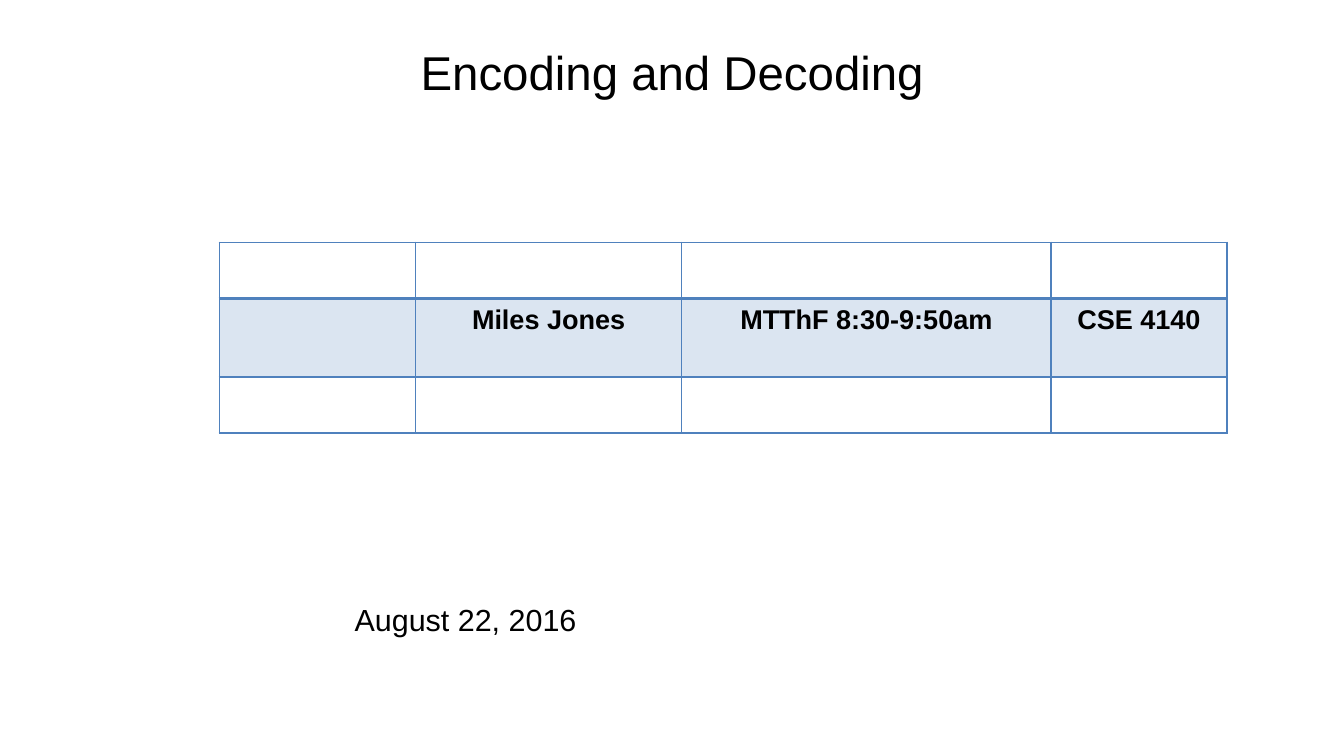
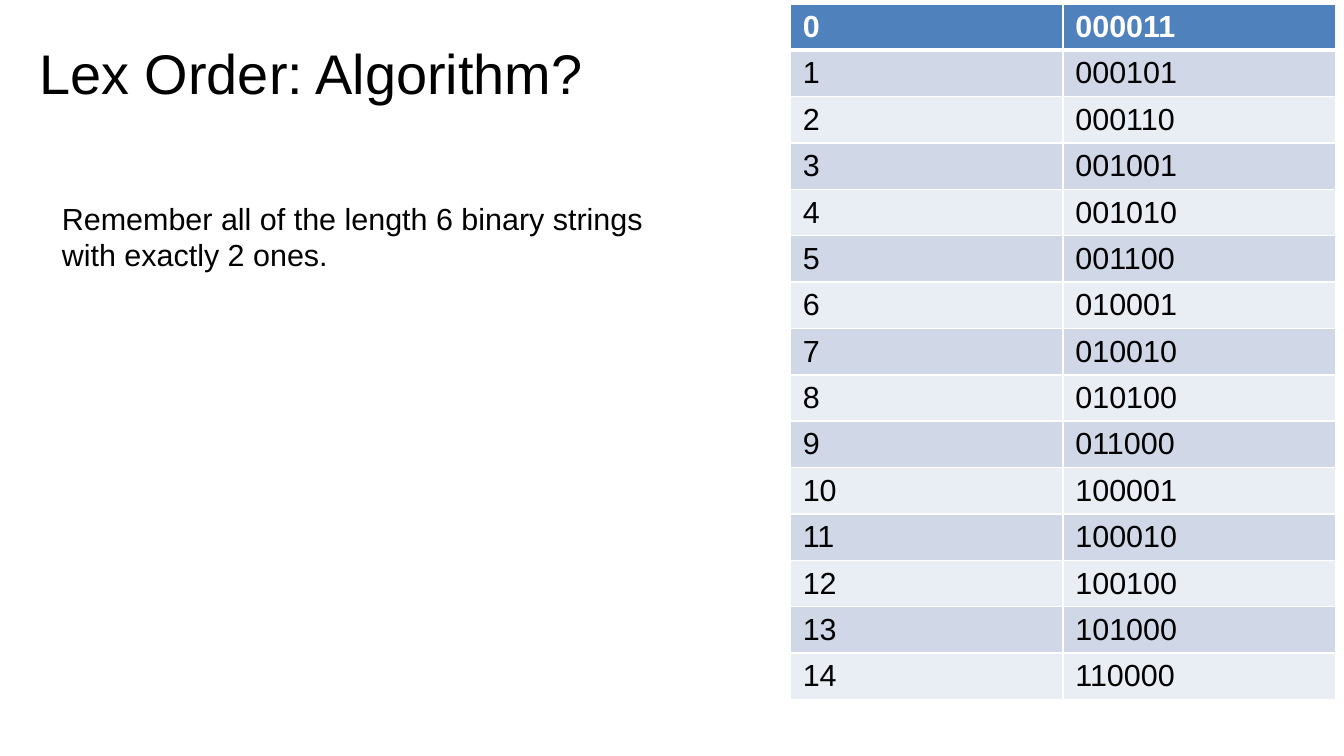
import pptx
import pptx.util
import pptx.dml.color
import pptx.enum.text
import pptx.oxml
import pptx.oxml.ns
from pptx.util import Cm

ALIGN = pptx.enum.text.PP_ALIGN
ANCHOR = pptx.enum.text.MSO_ANCHOR


def rgb(value):
    return pptx.dml.color.RGBColor.from_string(value)


class Deck:
    FONT = "Arial"
    BLACK, WHITE, BLUE = "000000", "FFFFFF", "4F81BD"
    BANDS = ("E9EDF4", "D0D8E8")

    def __init__(self):
        self.prs = pptx.Presentation()
        self.prs.slide_width, self.prs.slide_height = Cm(28), Cm(15.75)

    def style(self, tf, size, align, color=BLACK, bold=False):
        for p in tf.paragraphs:
            p.alignment = align
            for r in p.runs:
                r.font.name = self.FONT
                r.font.size = pptx.util.Pt(size)
                r.font.bold = bold
                r.font.color.rgb = rgb(color)

    def slide(self, title, left, width, size, align):
        """Start a slide and set its title."""
        self.s = self.prs.slides.add_slide(self.prs.slide_layouts[5])
        sp = self.s.shapes.title
        sp.left, sp.top, sp.width, sp.height = Cm(left), Cm(0.6), Cm(width), Cm(1.8)
        tf = sp.text_frame
        tf.text = title
        tf.vertical_anchor = ANCHOR.MIDDLE
        tf.margin_left = tf.margin_right = tf.margin_top = tf.margin_bottom = 0
        self.style(tf, size, align)

    def text(self, text, left, top, width, height, align=ALIGN.LEFT, wrap=True):
        sp = self.s.shapes.add_textbox(Cm(left), Cm(top), Cm(width), Cm(height))
        tf = sp.text_frame
        tf.text = text
        tf.word_wrap = wrap
        self.style(tf, 18, align)

    def table(self, rows, left, top, widths, heights):
        """Add a plain table without banding and return it."""
        frame = self.s.shapes.add_table(len(rows), len(widths), Cm(left), Cm(top),
                                        Cm(sum(widths)), Cm(sum(heights)))
        table = frame.table
        table.first_row = table.horz_banding = False
        for column, width in zip(table.columns, widths):
            column.width = Cm(width)
        for row, height, texts in zip(table.rows, heights, rows):
            row.height = Cm(height)
            for cell, text in zip(row.cells, texts):
                cell.text = text
        return table

    def borders(self, table, color, header_line):
        """Draw 1 pt cell borders with a thicker line under the first row."""
        for i, row in enumerate(table.rows):
            widths = {"lnL": 1, "lnR": 1,
                      "lnT": header_line if i == 1 else 1,
                      "lnB": header_line if i == 0 else 1}
            for cell in row.cells:
                tcPr = cell._tc.get_or_add_tcPr()
                for tag, width in widths.items():
                    tcPr.append(pptx.oxml.parse_xml(
                        f'<a:{tag} {pptx.oxml.ns.nsdecls("a")} w="{pptx.util.Pt(width)}">'
                        f'<a:solidFill><a:srgbClr val="{color}"/></a:solidFill></a:{tag}>'))

    def fill(self, cell, color, opacity=100):
        cell.fill.solid()
        cell.fill.fore_color.rgb = rgb(color)
        if opacity < 100:
            clr = cell._tc.tcPr.find(pptx.oxml.ns.qn("a:solidFill"))[0]
            clr.append(pptx.oxml.parse_xml(
                f'<a:alpha {pptx.oxml.ns.nsdecls("a")} val="{opacity * 1000}"/>'))


def opening(deck):
    deck.slide("Encoding and Decoding", 1.4, 25.2, 28, ALIGN.CENTER)

    # Class schedule
    empty = [""] * 4
    schedule = ["", "Miles Jones", "MTThF 8:30-9:50am", "CSE 4140"]
    table = deck.table([empty, schedule, empty], 4.57, 5.05,
                       [4.09, 5.54, 7.7, 3.66], [1.17, 1.63, 1.17])
    deck.borders(table, deck.BLUE, 2)
    for i, row in enumerate(table.rows):
        for cell in row.cells:
            if i == 1:
                deck.fill(cell, deck.BLUE, 20)
                deck.style(cell.text_frame, 16, ALIGN.CENTER, bold=True)
            else:
                cell.fill.background()

    # Date
    deck.text("August 22, 2016", 7.11, 12.4, 5.18, 1.02, ALIGN.CENTER, wrap=False)


def lex_order(deck):
    deck.slide("Lex Order: Algorithm?", 0.82, 26.6, 33, ALIGN.LEFT)

    # Numbered strings in lexicographic order
    words = [w for w in (format(n, "06b") for n in range(64)) if w.count("1") == 2]
    rows = [(str(i), word) for i, word in enumerate(words)]
    table = deck.table(rows, 16.47, 0.08, [5.68] * 2, [0.96] * len(rows))
    table.first_row = True
    deck.borders(table, deck.WHITE, 3)
    for i, row in enumerate(table.rows):
        header = i == 0
        for cell in row.cells:
            deck.fill(cell, deck.BLUE if header else deck.BANDS[i % 2])
            deck.style(cell.text_frame, 18, ALIGN.LEFT,
                       deck.WHITE if header else deck.BLACK, header)

    # Reminder
    deck.text("Remember all of the length 6 binary strings with exactly 2 ones.",
              1.04, 4.04, 12.65, 1.8)


def main():
    deck = Deck()
    opening(deck)
    lex_order(deck)
    deck.prs.save("out.pptx")


if __name__ == "__main__":
    main()
